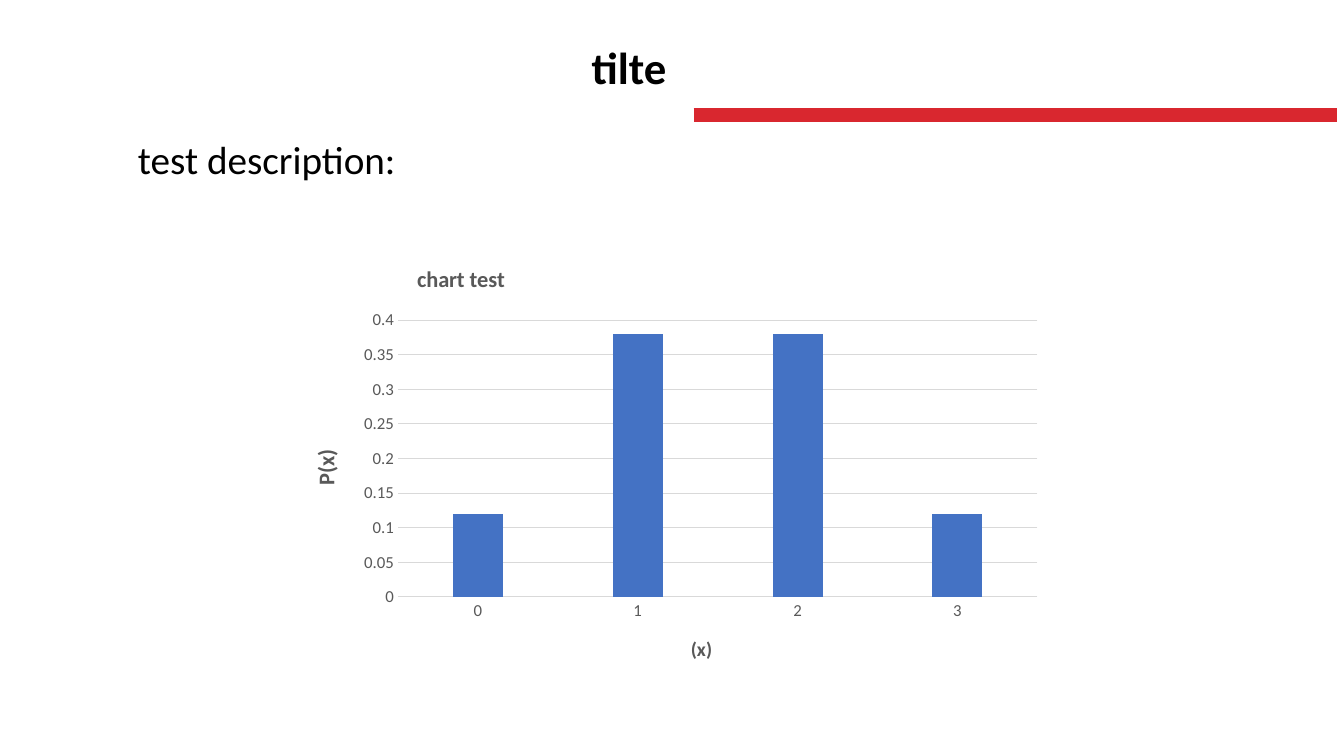
"""Build a slide with a title, a red rule and a column chart."""
from lxml.etree import SubElement
from pptx import Presentation
from pptx.chart.data import CategoryChartData
from pptx.dml.color import RGBColor
from pptx.enum.chart import XL_CHART_TYPE, XL_TICK_MARK
from pptx.enum.shapes import MSO_CONNECTOR
from pptx.enum.text import PP_ALIGN
from pptx.oxml.ns import qn
from pptx.util import Inches, Pt

BLACK = RGBColor(0x00, 0x00, 0x00)
RED = RGBColor(0xD9, 0x27, 0x2F)
BLUE = RGBColor(0x44, 0x72, 0xC4)
GRAY = RGBColor(0x59, 0x59, 0x59)
PALE = RGBColor(0xD9, 0xD9, 0xD9)
FACE = "Calibri"
WIDE, HIGH = 13.33, 7.5

TEXTS = [
    ("tilte", (5.77, 0.34, 7.56, 1.11), PP_ALIGN.LEFT, {"size": Pt(32), "bold": True}),
    ("test description:", (1.27, 1.29, 10.79, 1.04), PP_ALIGN.JUSTIFY, {"size": Pt(28), "bold": False}),
]
RULE = (6.88, 1.14, 13.26, 1.14)
FRAME = (2.89, 2.49, 7.55, 4.29)
CATS = ["0", "1", "2", "3"]
VALS = [0.12, 0.38, 0.38, 0.12]
PLOT = {"x": 0.14, "y": 0.16, "w": 0.84, "h": 0.64}
HEADS = {
    "chart": ("chart test", 16, {"x": 0.16, "y": 0.02}),
    "cat": ("(x)", 14, {"x": 0.52, "y": 0.88}),
    "val": ("P(x)", 16, {"x": 0.02, "y": 0.45}),
}
BARS = {"gap_width": 219, "overlap": -27, "vary_by_categories": False}
SCALE = {"minimum_scale": 0, "maximum_scale": 0.4, "major_unit": 0.05}
TICKS = {"major_tick_mark": XL_TICK_MARK.NONE, "minor_tick_mark": XL_TICK_MARK.NONE}


def apply(obj, vals):
    for name, val in vals.items():
        setattr(obj, name, val)


def style(font, color, vals):
    apply(font, {"name": FACE, **vals})
    font.color.rgb = color


def stroke(line, color, width):
    line.color.rgb = color
    line.width = Pt(width)


def place(node, spots):
    lay = node.find(qn("c:layout"))
    if lay is None:
        lay = SubElement(node, qn("c:layout"))
        node.insert(0, lay)
    box = SubElement(lay, qn("c:manualLayout"))
    if "w" in spots:
        SubElement(box, qn("c:layoutTarget")).set("val", "inner")
    for key in "xy":
        SubElement(box, qn(f"c:{key}Mode")).set("val", "edge")
    for key, val in spots.items():
        SubElement(box, qn(f"c:{key}")).set("val", str(val))


def head(title, key):
    text, size, spots = HEADS[key]
    para = title.text_frame.paragraphs[0]
    run = para.add_run()
    run.text = text
    style(run.font, GRAY, {"size": Pt(size), "bold": True})
    place(title._element, spots)


def add_text(slide, text, box, align, form):
    frame = slide.shapes.add_textbox(*map(Inches, box)).text_frame
    frame.word_wrap = True
    para = frame.paragraphs[0]
    para.alignment = align
    run = para.add_run()
    run.text = text
    style(run.font, BLACK, form)


def add_bars(slide):
    data = CategoryChartData()
    data.categories = CATS
    data.add_series("Series 1", VALS)
    chart = slide.shapes.add_chart(
        XL_CHART_TYPE.COLUMN_CLUSTERED, *map(Inches, FRAME), data).chart
    style(chart.font, BLACK, {"size": Pt(10)})
    chart.has_legend = False
    chart.has_title = True
    head(chart.chart_title, "chart")
    plot = chart.plots[0]
    apply(plot, BARS)
    fill = plot.series[0].format.fill
    fill.solid()
    fill.fore_color.rgb = BLUE
    cat, val = chart.category_axis, chart.value_axis
    for key, axis in (("cat", cat), ("val", val)):
        apply(axis, TICKS)
        style(axis.tick_labels.font, GRAY, {"size": Pt(12)})
        head(axis.axis_title, key)
    apply(val, SCALE)
    val.tick_labels.number_format = "General"
    val.tick_labels.number_format_is_linked = False
    val.format.line.fill.background()
    stroke(cat.format.line, PALE, 0.75)
    stroke(val.major_gridlines.format.line, PALE, 0.75)
    place(chart._chartSpace.chart.plotArea, PLOT)


def main():
    deck = Presentation()
    apply(deck, {"slide_width": Inches(WIDE), "slide_height": Inches(HIGH)})
    slide = deck.slides.add_slide(deck.slide_layouts[6])
    rule = slide.shapes.add_connector(MSO_CONNECTOR.STRAIGHT, *map(Inches, RULE))
    stroke(rule.line, RED, 10)
    SubElement(rule._element.spPr, qn("a:effectLst"))
    for item in TEXTS:
        add_text(slide, *item)
    add_bars(slide)
    deck.save("out.pptx")


if __name__ == "__main__":
    main()
